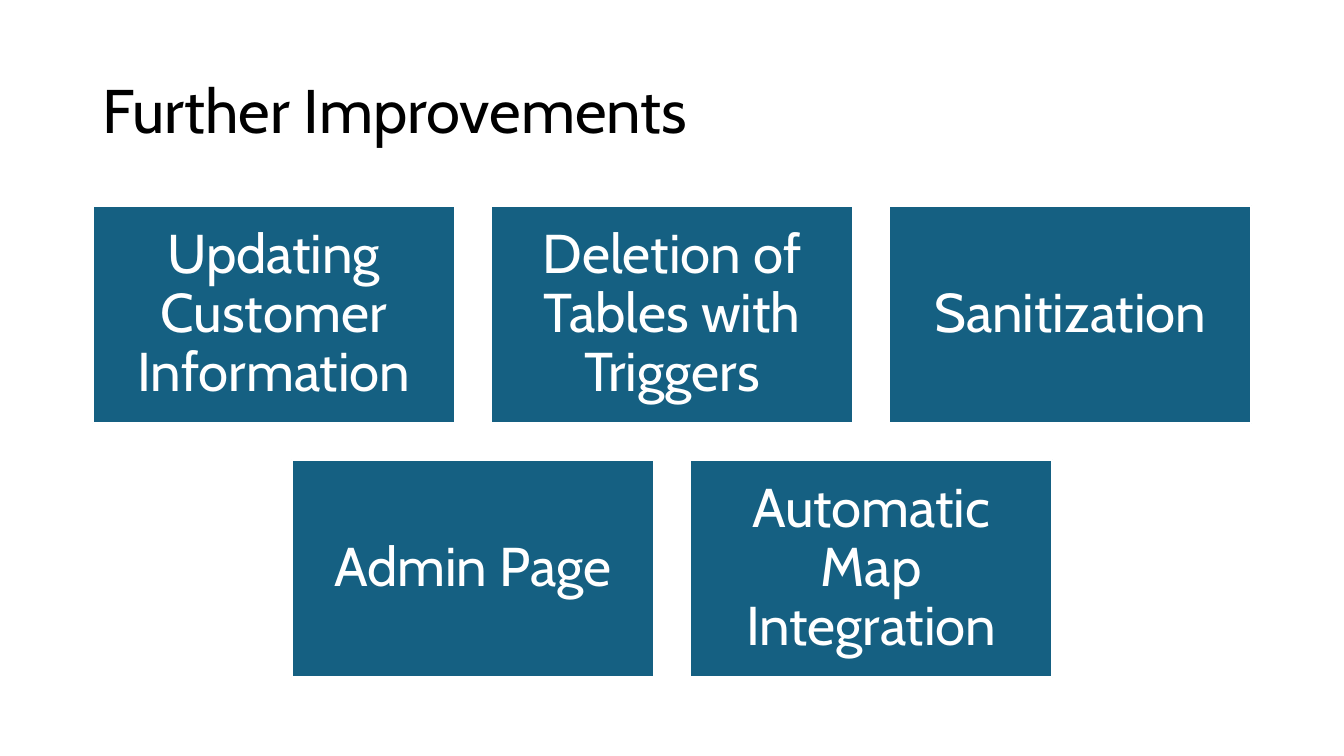
from pptx import Presentation
from pptx.dml.color import RGBColor
from pptx.enum.shapes import MSO_SHAPE
from pptx.enum.text import MSO_ANCHOR, PP_ALIGN
from pptx.util import Inches, Pt

TEAL = RGBColor(0x15, 0x60, 0x82)
WHITE = RGBColor(0xFF, 0xFF, 0xFF)
BLACK = RGBColor(0x00, 0x00, 0x00)

ROWS = [
    ["Updating Customer Information", "Deletion of Tables with Triggers", "Sanitization"],
    ["Admin Page", "Automatic Map Integration"],
]


class Deck:
    """Holds the style, the card grid and the current slide."""

    font = "Cabin"
    left, top = 0.92, 2.04
    wide, high = 3.59, 2.16
    col, row = 3.95, 2.52
    most = 3

    def __init__(self):
        self.show = Presentation()
        self.show.slide_width = Inches(13.33)
        self.show.slide_height = Inches(7.5)
        self.slide = self.show.slides.add_slide(self.show.slide_layouts[6])

    def label(self, shape, text, size, color, align):
        frame = shape.text_frame
        frame.word_wrap = True
        frame.vertical_anchor = MSO_ANCHOR.MIDDLE
        para = frame.paragraphs[0]
        para.alignment = align
        para.line_spacing = 0.9
        run = para.add_run()
        run.text = text
        run.font.name = self.font
        run.font.size = Pt(size)
        run.font.color.rgb = color
        return frame

    def title(self, text):
        box = self.slide.shapes.add_textbox(
            Inches(self.left), Inches(0.4), Inches(11.5), Inches(1.45))
        self.label(box, text, 44, BLACK, PP_ALIGN.LEFT)

    def card(self, col, row, text):
        box = self.slide.shapes.add_shape(
            MSO_SHAPE.RECTANGLE,
            Inches(self.left + col * self.col), Inches(self.top + row * self.row),
            Inches(self.wide), Inches(self.high))
        box.shadow.inherit = False
        box.fill.solid()
        box.fill.fore_color.rgb = TEAL
        box.line.color.rgb = WHITE
        box.line.width = Pt(1.5)
        frame = self.label(box, text, 39, WHITE, PP_ALIGN.CENTER)
        frame.margin_left = frame.margin_right = Inches(0.16)
        frame.margin_top = frame.margin_bottom = Inches(0.16)

    def cards(self, rows):
        for row, texts in enumerate(rows):
            shift = (self.most - len(texts)) / 2
            for col, text in enumerate(texts):
                self.card(col + shift, row, text)


def main():
    deck = Deck()
    deck.title("Further Improvements")
    deck.cards(ROWS)
    deck.show.save("out.pptx")


if __name__ == "__main__":
    main()
